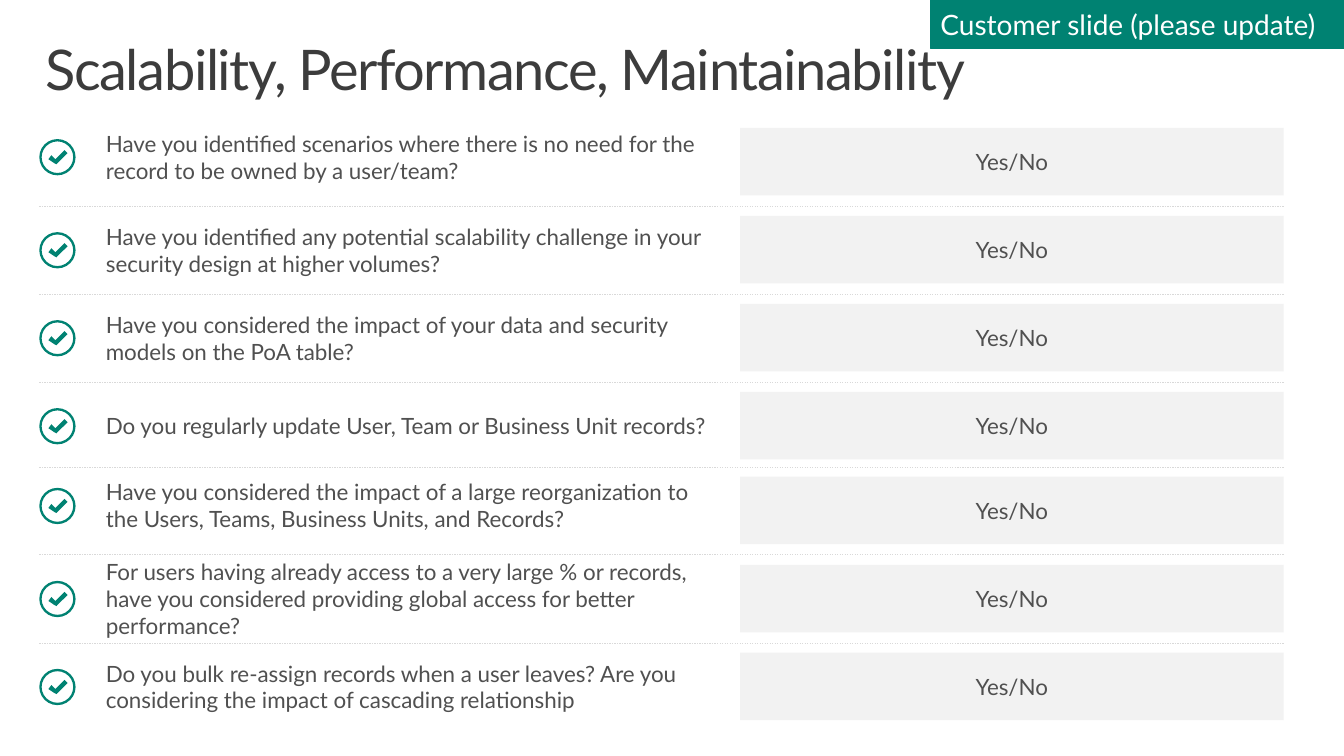
from dataclasses import dataclass
from lxml import etree
from pptx import Presentation
from pptx.dml.color import RGBColor
from pptx.enum.dml import MSO_LINE
from pptx.enum.shapes import MSO_CONNECTOR, MSO_SHAPE
from pptx.enum.text import MSO_ANCHOR, MSO_AUTO_SIZE, PP_ALIGN
from pptx.oxml.ns import qn
from pptx.util import Inches, Pt

RECT, DONUT = MSO_SHAPE.RECTANGLE, MSO_SHAPE.DONUT
STRAIGHT, DASH = MSO_CONNECTOR.STRAIGHT, MSO_LINE.DASH
LEFT, CENTER = PP_ALIGN.LEFT, PP_ALIGN.CENTER
TOP, MIDDLE = MSO_ANCHOR.TOP, MSO_ANCHOR.MIDDLE
NO_FIT = MSO_AUTO_SIZE.NONE


@dataclass(frozen=True)
class Theme:
    font: str = "Lato"
    title: RGBColor = RGBColor.from_string("3C3C3C")
    body: RGBColor = RGBColor.from_string("505050")
    accent: RGBColor = RGBColor.from_string("008272")
    panel: RGBColor = RGBColor.from_string("F2F2F2")
    rule: RGBColor = RGBColor.from_string("D9D9D9")
    white: RGBColor = RGBColor.from_string("FFFFFF")
    title_size: int = 40
    banner_size: int = 20
    body_size: int = 16


T = Theme()


def write(sp, text, size, color, align=LEFT, anchor=MIDDLE, insets=(0.1, 0.05, 0.1, 0.05)):
    tf = sp.text_frame
    tf.word_wrap = True
    tf.auto_size = NO_FIT
    tf.vertical_anchor = anchor
    tf.margin_left, tf.margin_top, tf.margin_right, tf.margin_bottom = map(Inches, insets)
    p = tf.paragraphs[0]
    p.alignment = align
    r = p.add_run()
    r.text = text
    r.font.name = T.font
    r.font.size = Pt(size)
    r.font.color.rgb = color
    return p, r


def paint(sp, color):
    sp.shadow.inherit = False
    sp.fill.solid()
    sp.fill.fore_color.rgb = color
    sp.line.fill.background()


QUESTIONS = [
    "Have you identified scenarios where there is no need for the record to be owned by a user/team?",
    "Have you identified any potential scalability challenge in your security design at higher volumes?",
    "Have you considered the impact of your data and security models on the PoA table?",
    "Do you regularly update User, Team or Business Unit records?",
    "Have you considered the impact of a large reorganization to the Users, Teams, Business Units, and Records?",
    "For users having already access to a very large % or records, have you considered providing global access for better performance?",
    "Do you bulk re-assign records when a user leaves? Are you considering the impact of cascading relationship",
]
BLOCKS = [(1.27, 4), (4.73, 3)]
PITCH = 0.873
ROWS = [(top + i * PITCH, i == 0) for top, count in BLOCKS for i in range(count)]
GRID_LEFT, GRID_RIGHT = 0.39, 12.73
ANSWER_LEFT, ANSWER_HEIGHT = 7.34, 0.67
ICON = 0.36
TICK = [(0.25, 0.11), (0.16, 0.2), (0.12, 0.16), (0.09, 0.2),
        (0.15, 0.24), (0.17, 0.25), (0.18, 0.24), (0.28, 0.14)]

prs = Presentation()
prs.slide_width, prs.slide_height = Inches(13.33), Inches(7.5)
s = prs.slides.add_slide(prs.slide_layouts[5])

title = s.shapes.title
title.left, title.top, title.width, title.height = map(Inches, (0.29, 0.32, 12.75, 0.98))
p, r = write(title, "Scalability, Performance, Maintainability", T.title_size, T.title,
             anchor=TOP, insets=(0.16, 0.1, 0.16, 0.1))
p.line_spacing = 0.9
r.font._element.set("spc", "-100")

for i, (question, (top, first)) in enumerate(zip(QUESTIONS, ROWS)):
    if i:
        y = Inches(top - 0.1)
        line = s.shapes.add_connector(STRAIGHT, Inches(GRID_LEFT), y, Inches(GRID_RIGHT), y)
        line.line.color.rgb = T.rule
        line.line.width = Pt(0.25)
        line.line.dash_style = DASH
        etree.SubElement(line._element.spPr, qn("a:effectLst"))

    text_top = top if first else top + 0.05
    sp = s.shapes.add_textbox(Inches(0.45), Inches(text_top), Inches(6.75), Inches(0.57))
    write(sp, question, T.body_size, T.body, insets=(0.6, 0.05, 0.1, 0.05))

    icon_top = text_top + 0.11
    icon = s.shapes.add_group_shape()
    ring = icon.shapes.add_shape(DONUT, Inches(GRID_LEFT), Inches(icon_top), Inches(ICON), Inches(ICON))
    ring.adjustments[0] = 0.065
    paint(ring, T.accent)
    points = [(Inches(GRID_LEFT + x), Inches(icon_top + y)) for x, y in TICK]
    outline = icon.shapes.build_freeform(*points[0])
    outline.add_line_segments(points[1:], close=True)
    paint(outline.convert_to_shape(), T.accent)

    answer = s.shapes.add_shape(RECT, Inches(ANSWER_LEFT), Inches(top),
                                Inches(GRID_RIGHT - ANSWER_LEFT), Inches(ANSWER_HEIGHT))
    paint(answer, T.panel)
    write(answer, "Yes/No", T.body_size, T.body, CENTER)

banner = s.shapes.add_shape(RECT, Inches(9.23), 0, Inches(4.1), Inches(0.48))
paint(banner, T.accent)
banner.line.color.rgb = T.accent
banner.line.width = Pt(0.25)
write(banner, "Customer slide (please update)", T.banner_size, T.white)

prs.save("out.pptx")
